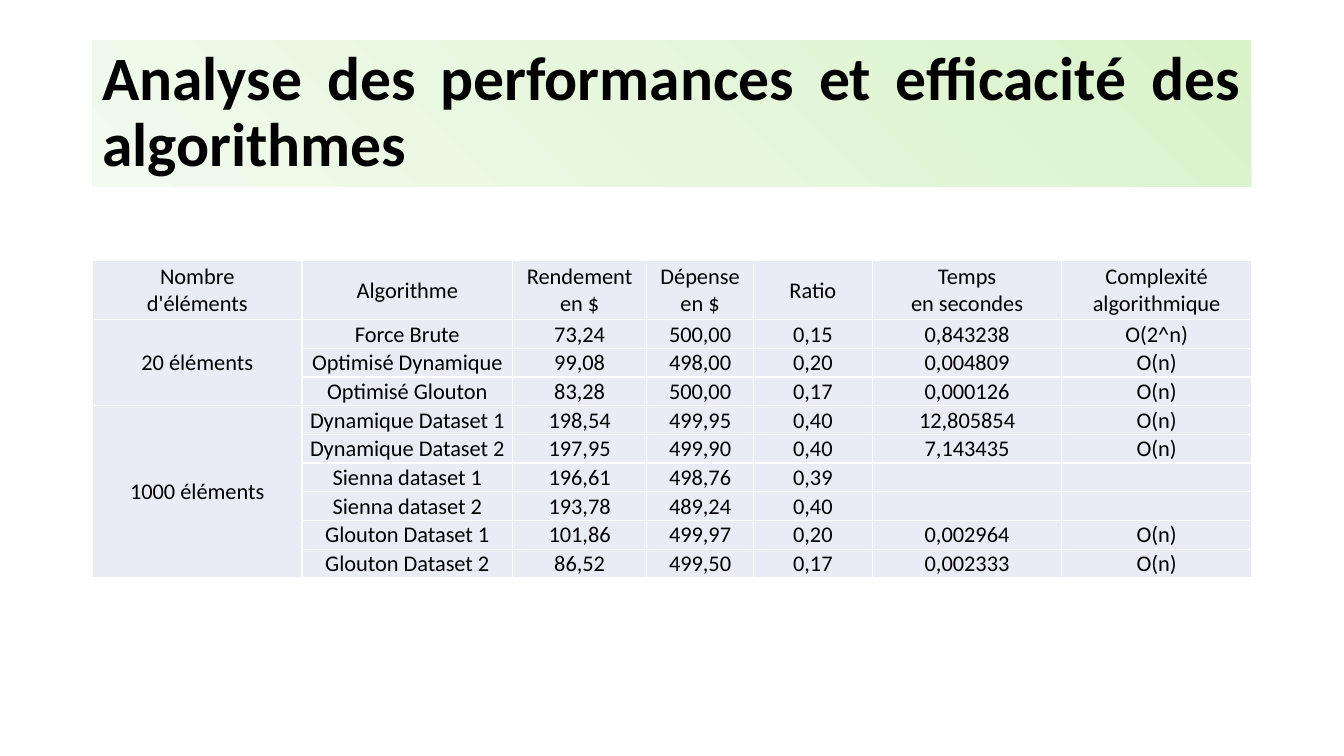
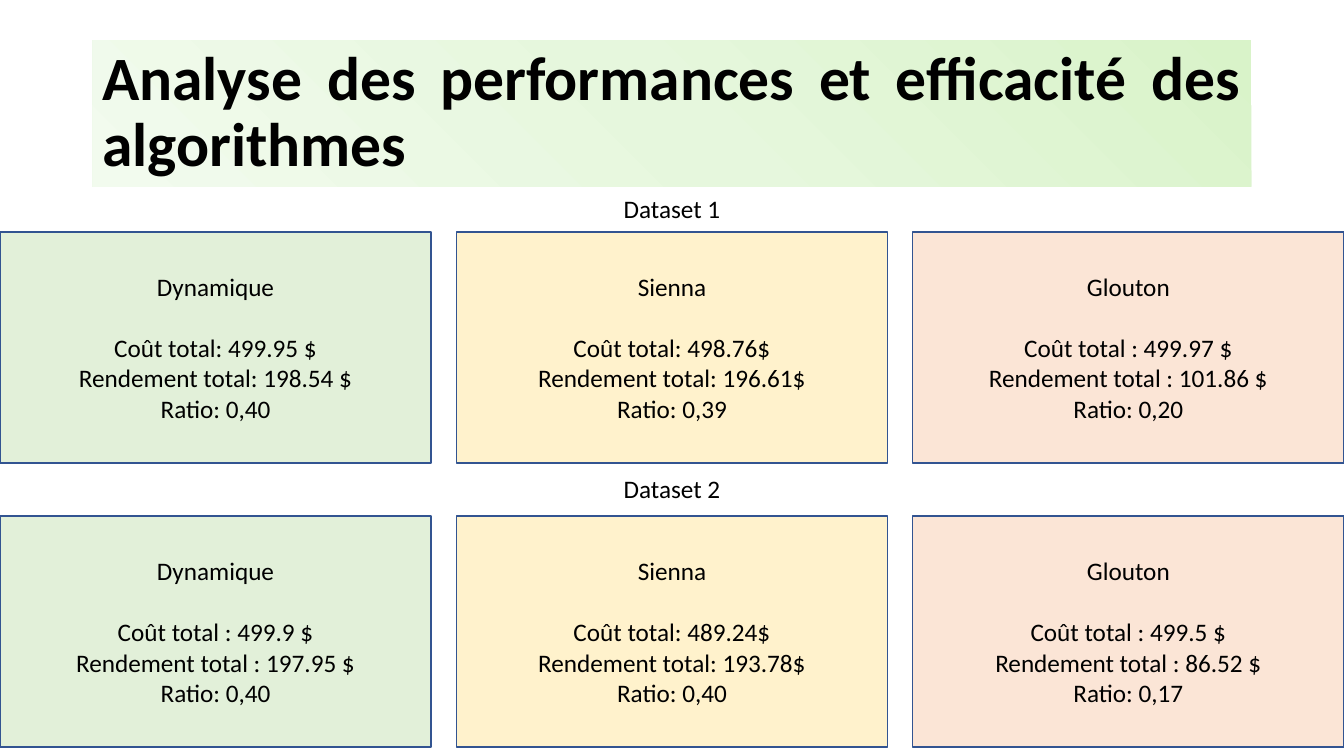
import copy
import dataclasses

import lxml.etree
import pptx
import pptx.dml.color
import pptx.enum.shapes
import pptx.enum.text
import pptx.oxml.ns
import pptx.util

Pt = pptx.util.Pt
RGB = pptx.dml.color.RGBColor.from_string
qn = pptx.oxml.ns.qn
ALIGN = pptx.enum.text.PP_ALIGN
MIDDLE = pptx.enum.text.MSO_ANCHOR.MIDDLE
RECTANGLE = pptx.enum.shapes.MSO_SHAPE.RECTANGLE


@dataclasses.dataclass(frozen=True)
class Theme:
    font: str = "Calibri"
    ink: str = "000000"
    title_size: int = 44
    body_size: int = 18
    table_size: int = 16
    title_gradient: tuple = ("D9F3C9", "E6F7DD", "F2FBEE")
    cell_fill: str = "E9EBF5"
    cell_border: str = "FFFFFF"
    card_fills: tuple = ("E2F0D9", "FFF2CC", "FBE5D6")
    card_line: str = "325491"


THEME = Theme()

# Boxes: left, top, width, height in points
SLIDE_SIZE = (960, 540)
TITLE_BOX = (66, 28.8, 828, 104.4)
TABLE_BOX = (66, 186, 828, 227)
DATASET_BOXES = ((0, 134.6, 960, 196), (0, 334.8, 960, 198.7))

TITLE = "Analyse des performances et efficacité des algorithmes"

HEADINGS = ("Nombre\nd'éléments", "Algorithme", "Rendement\nen $", "Dépense\nen $",
            "Ratio", "Temps\nen secondes", "Complexité\nalgorithmique")
COLUMN_WIDTHS = (149.8, 150.4, 95.8, 76.3, 84.9, 135.4, 135.4)
HEADING_HEIGHT = 42.3
GROUPS = (
    ("20 éléments", (
        ("Force Brute", "73,24", "500,00", "0,15", "0,843238", "O(2^n)"),
        ("Optimisé Dynamique", "99,08", "498,00", "0,20", "0,004809", "O(n)"),
        ("Optimisé Glouton", "83,28", "500,00", "0,17", "0,000126", "O(n)"),
    )),
    ("1000 éléments", (
        ("Dynamique Dataset 1", "198,54", "499,95", "0,40", "12,805854", "O(n)"),
        ("Dynamique Dataset 2", "197,95", "499,90", "0,40", "7,143435", "O(n)"),
        ("Sienna dataset 1", "196,61", "498,76", "0,39", "", ""),
        ("Sienna dataset 2", "193,78", "489,24", "0,40", "", ""),
        ("Glouton Dataset 1", "101,86", "499,97", "0,20", "0,002964", "O(n)"),
        ("Glouton Dataset 2", "86,52", "499,50", "0,17", "0,002333", "O(n)"),
    )),
)

DATASETS = (
    ("Dataset 1", (
        ("Dynamique", "Coût total: 499.95 $", "Rendement total: 198.54 $", "Ratio: 0,40"),
        ("Sienna", "Coût total: 498.76$", "Rendement total: 196.61$", "Ratio: 0,39"),
        ("Glouton", "Coût total : 499.97 $", "Rendement total : 101.86 $", "Ratio: 0,20"),
    )),
    ("Dataset 2", (
        ("Dynamique", "Coût total : 499.9 $", "Rendement total : 197.95 $", "Ratio: 0,40"),
        ("Sienna", "Coût total: 489.24$", "Rendement total: 193.78$", "Ratio: 0,40"),
        ("Glouton", "Coût total : 499.5 $", "Rendement total : 86.52 $", "Ratio: 0,17"),
    )),
)
CARD_GAP = 18
CARD_HEIGHT = 165
LABEL_SIZE = (84, 28.8)


# Shared helpers
def set_attributes(target, values):
    for name, value in values.items():
        setattr(target, name, value)


def points(box):
    return [Pt(length) for length in box]


def write_text(frame, text, size, align=ALIGN.CENTER, bold=False):
    frame.text = text
    for paragraph in frame.paragraphs:
        paragraph.alignment = align
        for run in paragraph.runs:
            set_attributes(run.font, {"name": THEME.font, "size": Pt(size), "bold": bold})
            run.font.color.rgb = RGB(THEME.ink)
        if not paragraph.runs:
            # An empty line keeps the type size, so that its row does not grow
            lxml.etree.SubElement(paragraph._p, qn("a:endParaRPr"), sz=str(size * 100))


def add_panel(slide, box):
    panel = slide.shapes.add_shape(RECTANGLE, *points(box))
    panel.shadow.inherit = False
    set_attributes(panel.text_frame, {"word_wrap": True, "vertical_anchor": MIDDLE})
    return panel


# Title band
def add_title(slide, box):
    band = add_panel(slide, box)
    band.line.fill.background()
    band.fill.gradient()
    band.fill.gradient_angle = 225
    stop_list = band._element.spPr.find(".//" + qn("a:gsLst"))
    stop_list.append(copy.deepcopy(stop_list[0]))
    for stop, colour, position in zip(band.fill.gradient_stops, THEME.title_gradient, (0, 0.5, 1)):
        stop.color.rgb = RGB(colour)
        stop.position = position
    write_text(band.text_frame, TITLE, THEME.title_size, ALIGN.JUSTIFY, bold=True)
    band.text_frame.paragraphs[0].line_spacing = 0.9


# Results table
def format_cell(cell):
    set_attributes(cell, {"vertical_anchor": MIDDLE, "margin_left": Pt(0.7), "margin_right": Pt(0.7),
                          "margin_top": Pt(0.7), "margin_bottom": Pt(0)})
    properties = cell._tc.get_or_add_tcPr()
    for side in ("a:lnL", "a:lnR", "a:lnT", "a:lnB"):
        border = lxml.etree.SubElement(properties, qn(side), w=str(Pt(1)))
        border_fill = lxml.etree.SubElement(border, qn("a:solidFill"))
        lxml.etree.SubElement(border_fill, qn("a:srgbClr"), val=THEME.cell_border)
    cell.fill.solid()
    cell.fill.fore_color.rgb = RGB(THEME.cell_fill)


def add_results(slide, box):
    rows = [HEADINGS]
    merges = []
    for group, algorithms in GROUPS:
        merges.append((len(rows), len(rows) + len(algorithms) - 1))
        for index, values in enumerate(algorithms):
            rows.append(("" if index else group, *values))

    results = slide.shapes.add_table(len(rows), len(HEADINGS), *points(box)).table
    set_attributes(results, {"first_row": False, "horz_banding": False})
    for column, width in zip(results.columns, COLUMN_WIDTHS):
        column.width = Pt(width)
    row_height = (box[3] - HEADING_HEIGHT) / (len(rows) - 1)
    for index, values in enumerate(rows):
        results.rows[index].height = Pt(row_height if index else HEADING_HEIGHT)
        for column, value in enumerate(values):
            cell = results.cell(index, column)
            write_text(cell.text_frame, value, THEME.table_size)
            format_cell(cell)
    for first, last in merges:
        results.cell(first, 0).merge(results.cell(last, 0))


# Dataset band: a label above a row of cards
def add_card(slide, box, lines, colour):
    card = add_panel(slide, box)
    card.fill.solid()
    card.fill.fore_color.rgb = RGB(colour)
    card.line.color.rgb = RGB(THEME.card_line)
    card.line.width = Pt(1)
    write_text(card.text_frame, "\n".join(lines), THEME.body_size)
    # One line of space between the heading and the figures
    card.text_frame.paragraphs[1].space_before = Pt(22)


def add_dataset(slide, box, name, cards):
    left, top, width, height = box
    label_width, label_height = LABEL_SIZE
    label_box = (left + (width - label_width) / 2, top, label_width, label_height)
    label = slide.shapes.add_textbox(*points(label_box))
    write_text(label.text_frame, name, THEME.body_size)
    set_attributes(label.text_frame, {"word_wrap": False,
                                      "auto_size": pptx.enum.text.MSO_AUTO_SIZE.SHAPE_TO_FIT_TEXT})

    card_width = (width - CARD_GAP * (len(cards) - 1)) / len(cards)
    card_top = top + height - CARD_HEIGHT
    for index, (lines, colour) in enumerate(zip(cards, THEME.card_fills)):
        card_left = left + index * (card_width + CARD_GAP)
        add_card(slide, (card_left, card_top, card_width, CARD_HEIGHT), lines, colour)


# Slides
def add_slide(deck):
    slide = deck.slides.add_slide(deck.slide_layouts[6])
    add_title(slide, TITLE_BOX)
    return slide


def main():
    deck = pptx.Presentation()
    deck.slide_width, deck.slide_height = points(SLIDE_SIZE)

    add_results(add_slide(deck), TABLE_BOX)

    comparison = add_slide(deck)
    for box, (name, cards) in zip(DATASET_BOXES, DATASETS):
        add_dataset(comparison, box, name, cards)

    deck.save("out.pptx")


if __name__ == "__main__":
    main()
